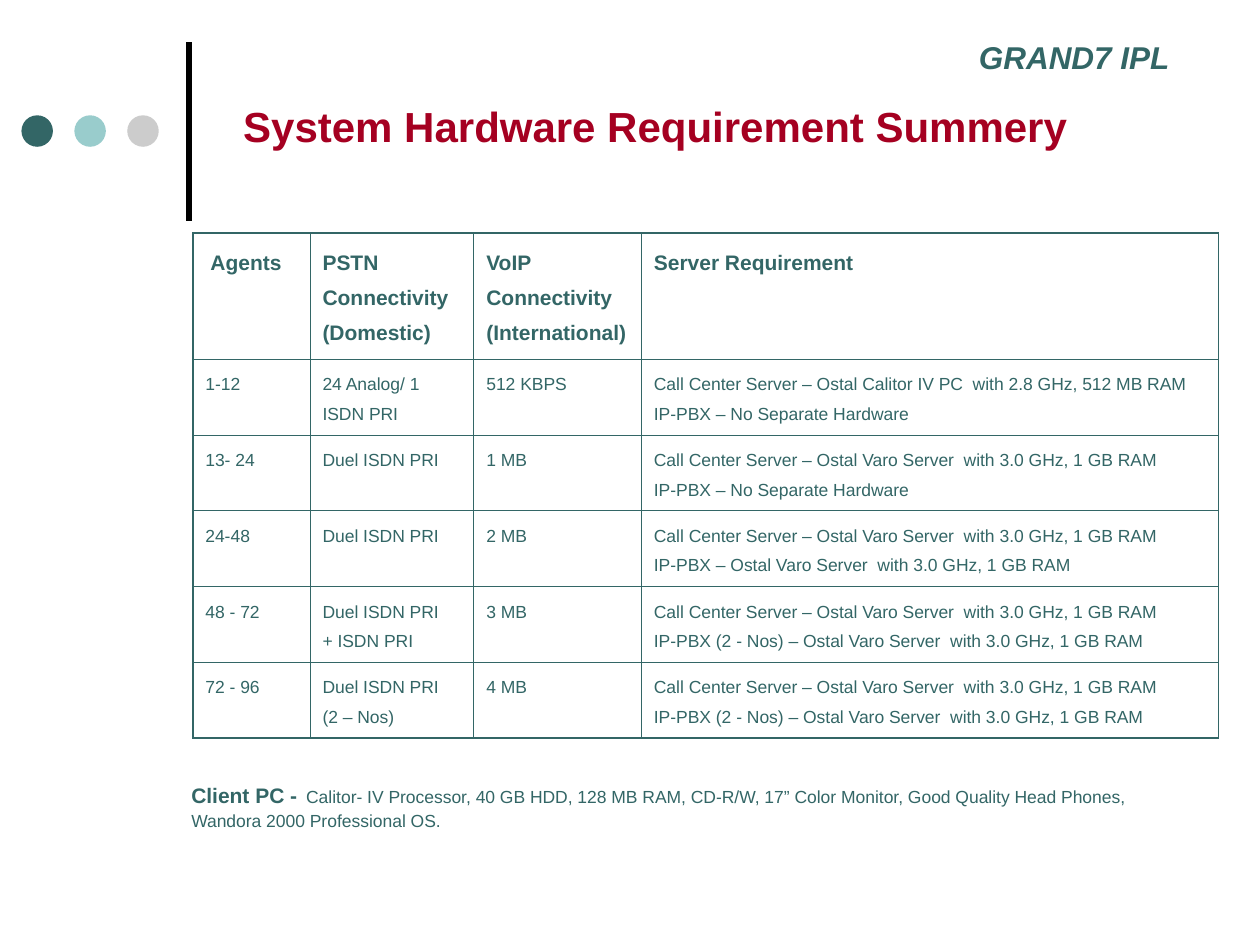
from lxml.etree import SubElement
from pptx import Presentation
from pptx.dml.color import RGBColor
from pptx.enum.shapes import MSO_CONNECTOR, MSO_SHAPE
from pptx.enum.text import MSO_ANCHOR, MSO_AUTO_SIZE, PP_ALIGN
from pptx.oxml.ns import qn
from pptx.util import Inches, Pt

FONT = "Arial"
COLORS = {
    "rule": "000000",
    "teal": "336666",
    "aqua": "99CCCC",
    "grey": "CCCCCC",
    "title": "A50021",
}
THIN, THICK = 0.45, 0.96
COLUMN_WIDTHS = [0.93, 1.3, 1.33, 4.58]
ROW_HEIGHTS = [1] + [0.6] * 5
FAST_SERVER = "Ostal Varo Server  with 3.0 GHz, 1 GB RAM"
CALL_CENTER = f"Call Center Server – {FAST_SERVER}"
NO_HARDWARE = "IP-PBX – No Separate Hardware"
TWO_EXCHANGES = f"IP-PBX (2 - Nos) – {FAST_SERVER}"
REQUIREMENTS = [
    [" Agents", "PSTN Connectivity (Domestic)",
     "VoIP Connectivity (International)", "Server Requirement"],
    ["1-12", "24 Analog/ 1 ISDN PRI", "512 KBPS",
     "Call Center Server – Ostal Calitor IV PC  with 2.8 GHz, 512 MB RAM\n" + NO_HARDWARE],
    ["13- 24", "Duel ISDN PRI", "1 MB", f"{CALL_CENTER}\n{NO_HARDWARE}"],
    ["24-48", "Duel ISDN PRI", "2 MB", f"{CALL_CENTER}\nIP-PBX – {FAST_SERVER}"],
    ["48 - 72", "Duel ISDN PRI\n+ ISDN PRI", "3 MB", f"{CALL_CENTER}\n{TWO_EXCHANGES}"],
    ["72 - 96", "Duel ISDN PRI  (2 – Nos)", "4 MB", f"{CALL_CENTER}\n{TWO_EXCHANGES}"],
]
CLIENT_PARTS = [
    ("Client PC -", 12, True),
    (" ", 18, True),
    ("Calitor- IV Processor, 40 GB HDD, 128 MB RAM, CD-R/W, 17” Color Monitor, "
     "Good Quality Head Phones, Wandora 2000 Professional OS.", 10, False),
]


def color(name):
    """Return the named palette colour."""
    return RGBColor.from_string(COLORS[name])


def style_font(font, size, bold, color_name="teal", italic=False):
    """Format a paragraph or run font."""
    font.name, font.size = FONT, Pt(size)
    font.bold, font.italic = bold, italic
    font.color.rgb = color(color_name)


def add_ornament(slide, left, top, width, height):
    """Draw three dots and the vertical rule at the right edge of the box."""
    rule = slide.shapes.add_connector(
        MSO_CONNECTOR.STRAIGHT, Inches(left + width), Inches(top + height),
        Inches(left + width), Inches(top))
    rule.line.color.rgb = color("rule")
    rule.line.width = Pt(3)
    SubElement(rule._element.spPr, qn("a:effectLst"))
    size, pitch = 0.25, 0.42
    for index, name in enumerate(("teal", "aqua", "grey")):
        dot = slide.shapes.add_shape(
            MSO_SHAPE.OVAL, Inches(left + index * pitch),
            Inches(top + (height - size) / 2), Inches(size), Inches(size))
        dot.shadow.inherit = False
        dot.fill.solid()
        dot.fill.fore_color.rgb = color(name)
        dot.line.fill.background()


def add_title(slide, left, top, width, height):
    """Place and format the title placeholder."""
    title = slide.shapes.title
    title.left, title.top = Inches(left), Inches(top)
    title.width, title.height = Inches(width), Inches(height)
    frame = title.text_frame
    frame.text = "System Hardware Requirement Summery"
    frame.vertical_anchor = MSO_ANCHOR.TOP
    frame.auto_size = MSO_AUTO_SIZE.SHAPE_TO_FIT_TEXT
    paragraph = frame.paragraphs[0]
    paragraph.alignment = PP_ALIGN.LEFT
    style_font(paragraph.font, 24, True, "title")


def add_text_box(slide, left, top, width, height):
    """Add a wrapping text box and return its first paragraph."""
    box = slide.shapes.add_textbox(
        Inches(left), Inches(top), Inches(width), Inches(height))
    box.text_frame.word_wrap = True
    box.text_frame.auto_size = MSO_AUTO_SIZE.SHAPE_TO_FIT_TEXT
    return box.text_frame.paragraphs[0]


def add_company(slide, left, top, width, height):
    """Write the company name."""
    paragraph = add_text_box(slide, left, top, width, height)
    paragraph.text = "GRAND7 IPL"
    style_font(paragraph.font, 18, True, italic=True)


def add_client_note(slide, left, top, width, height):
    """Write the client computer requirement."""
    paragraph = add_text_box(slide, left, top, width, height)
    paragraph.space_before = Pt(6.2)
    for text, size, bold in CLIENT_PARTS:
        run = paragraph.add_run()
        run.text = text
        style_font(run.font, size, bold)


def set_borders(cell, widths):
    """Draw the left, right, top and bottom borders of a cell."""
    properties = cell._tc.get_or_add_tcPr()
    for side, width in zip("LRTB", widths):
        line = SubElement(properties, qn(f"a:ln{side}"), w=str(Pt(width)))
        fill = SubElement(line, qn("a:solidFill"))
        SubElement(fill, qn("a:srgbClr"), val=COLORS["teal"])


def add_requirements(slide, left, top, width, height):
    """Build the table of requirements per number of agents."""
    last_row, last_column = len(ROW_HEIGHTS) - 1, len(COLUMN_WIDTHS) - 1
    table = slide.shapes.add_table(
        last_row + 1, last_column + 1, Inches(left), Inches(top),
        Inches(width), Inches(height)).table
    table.first_row = table.horz_banding = False
    for column, column_width in zip(table.columns, COLUMN_WIDTHS):
        column.width = Inches(column_width)
    for row, row_height in zip(table.rows, ROW_HEIGHTS):
        row.height = Inches(row_height)
    for row, texts in enumerate(REQUIREMENTS):
        for column, text in enumerate(texts):
            cell = table.cell(row, column)
            outer = (column == 0, column == last_column, row == 0, row == last_row)
            set_borders(cell, [THICK if edge else THIN for edge in outer])
            cell.fill.background()
            cell.text = text
            for paragraph in cell.text_frame.paragraphs:
                paragraph.line_spacing = 1.5
                style_font(paragraph.font, 12 if row == 0 else 10, row == 0)


def main():
    """Build and save the slide."""
    presentation = Presentation()
    presentation.slide_width, presentation.slide_height = Inches(10), Inches(7.5)
    slide = presentation.slides.add_slide(presentation.slide_layouts[5])
    add_ornament(slide, 0.17, 0.33, 1.33, 1.42)
    add_title(slide, 1.83, 0.75, 7.5, 0.5)
    add_requirements(slide, 1.53, 1.85, sum(COLUMN_WIDTHS), sum(ROW_HEIGHTS))
    add_client_note(slide, 1.42, 6.08, 8, 0.57)
    add_company(slide, 7.67, 0.25, 1.75, 0.4)
    presentation.save("out.pptx")


if __name__ == "__main__":
    main()
